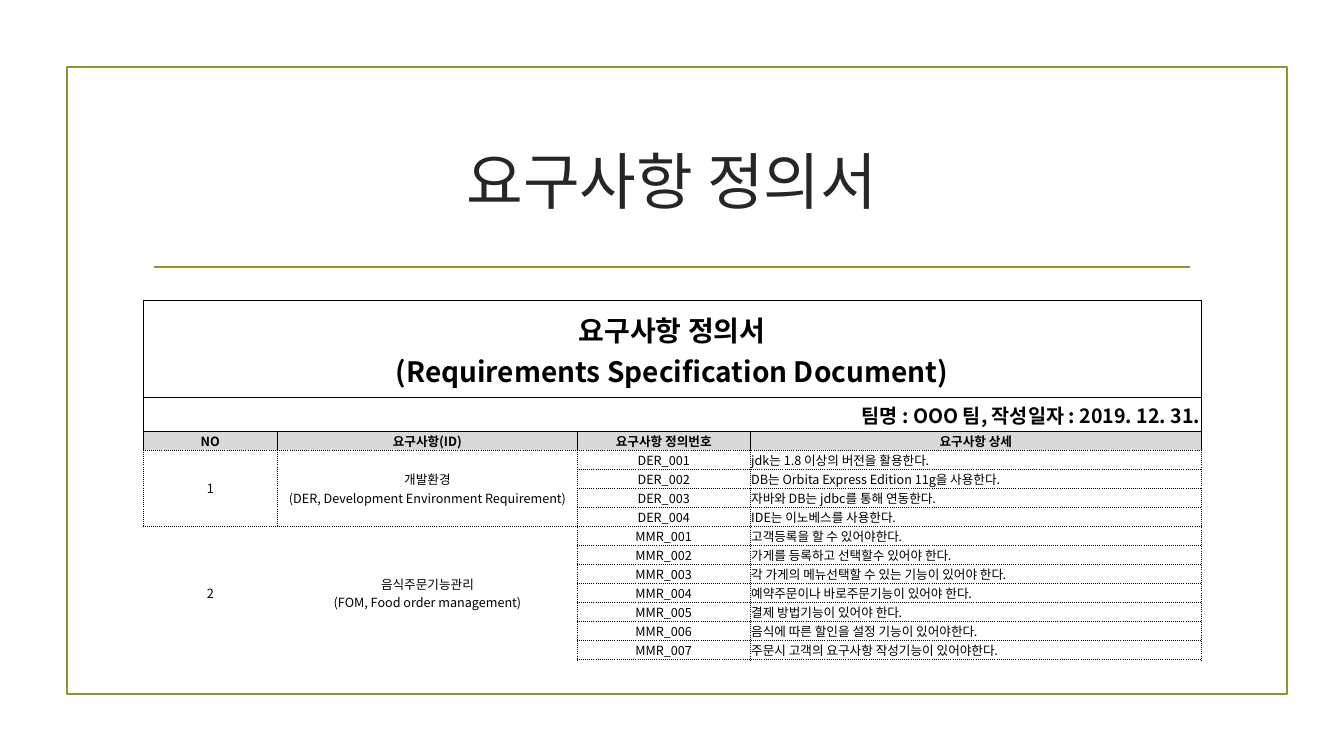
import lxml.etree
import pptx
import pptx.dml.color
import pptx.enum.shapes
import pptx.enum.text
import pptx.oxml.ns
import pptx.util

Cm = pptx.util.Cm
Pt = pptx.util.Pt
ALIGN = pptx.enum.text.PP_ALIGN
MIDDLE = pptx.enum.text.MSO_ANCHOR.MIDDLE
qn = pptx.oxml.ns.qn

COLORS = {"green": "83992A", "title": "262626", "black": "000000", "header": "D9D9D9"}
NO_GRID_STYLE = "{2D5ABB26-0587-4C30-8999-92F81FD0307C}"
TABLE_FONT = "Noto Sans CJK KR"
SOLID, DOTTED = "solid", "sysDot"

COLUMN_WIDTHS = [3.4, 7.54, 4.37, 11.36]
HEADINGS = ["NO", "요구사항(ID)", "요구사항 정의번호", "요구사항 상세"]
GROUPS = [
    ("개발환경\n(DER, Development Environment Requirement)", "DER", "LRTB", "LRTB", [
        "jdk는 1.8 이상의 버전을 활용한다.",
        "DB는 Orbita Express Edition 11g을 사용한다.",
        "자바와 DB는 jdbc를 통해 연동한다.",
        "IDE는 이노베스를 사용한다.",
    ]),
    ("음식주문기능관리\n(FOM, Food order management)", "MMR", "T", "TR", [
        "고객등록을 할 수 있어야한다.",
        "가게를 등록하고 선택할수 있어야 한다.",
        "각 가게의 메뉴선택할 수 있는 기능이 있어야 한다.",
        "예약주문이나 바로주문기능이 있어야 한다.",
        "결제 방법기능이 있어야 한다.",
        "음식에 따른 할인을 설정 기능이 있어야한다.",
        "주문시 고객의 요구사항 작성기능이 있어야한다.",
    ]),
]
ROW_HEIGHTS = [0.47, 2.44, 0.84] + [0.48] * (1 + sum(len(group[-1]) for group in GROUPS))


def rgb(name):
    return pptx.dml.color.RGBColor.from_string(COLORS[name])


class SlideBuilder:
    def __init__(self, slide):
        self.slide = slide

    def outline(self, line):
        line.color.rgb = rgb("green")
        line.width = Pt(1.25)

    def frame(self, left, top, width, height):
        shape = self.slide.shapes.add_shape(
            pptx.enum.shapes.MSO_SHAPE.RECTANGLE, Cm(left), Cm(top), Cm(width), Cm(height))
        shape.shadow.inherit = False
        shape.fill.background()
        self.outline(shape.line)

    def rule(self, left, right, y):
        connector = self.slide.shapes.add_connector(
            pptx.enum.shapes.MSO_CONNECTOR.STRAIGHT, Cm(left), Cm(y), Cm(right), Cm(y))
        self.outline(connector.line)
        lxml.etree.SubElement(connector._element.spPr, qn("a:effectLst"))

    def add_text(self, paragraph, text, size, font, color, align, bold=False):
        paragraph.alignment = align
        for index, piece in enumerate(text.split("\n")):
            if index:
                paragraph.add_line_break()
            run = paragraph.add_run()
            run.text = piece
            run.font.size = Pt(size)
            run.font.name = font
            run.font.bold = bold
            run.font.color.rgb = rgb(color)
            if font == TABLE_FONT:
                east_asian = lxml.etree.SubElement(run.font._element, qn("a:ea"))
                east_asian.set("typeface", font)

    def title(self, left, top, width, height, text):
        box = self.slide.shapes.add_textbox(Cm(left), Cm(top), Cm(width), Cm(height))
        box.text_frame.word_wrap = True
        box.text_frame.vertical_anchor = MIDDLE
        self.add_text(box.text_frame.paragraphs[0], text, 44, "Times New Roman", "title",
                      ALIGN.CENTER)

    def table(self, left, top, widths, heights):
        frame = self.slide.shapes.add_table(
            len(heights), len(widths), Cm(left), Cm(top), Cm(sum(widths)), Cm(sum(heights)))
        table = frame.table
        table.first_row = table.horz_banding = False
        table._tbl.tblPr.find(qn("a:tableStyleId")).text = NO_GRID_STYLE
        for column, width in zip(table.columns, widths):
            column.width = Cm(width)
        for row, height in zip(table.rows, heights):
            row.height = Cm(height)
        # Small text size keeps empty cells from stretching their rows
        for cell in table.iter_cells():
            cell.margin_left = cell.margin_right = cell.margin_top = Cm(0.02)
            cell.margin_bottom = 0
            cell.text_frame.paragraphs[0]._p.get_or_add_endParaRPr().set("sz", "900")
        return table

    def borders(self, cell, sides):
        properties = cell._tc.get_or_add_tcPr()
        for side in "LRTB":
            if side not in sides:
                continue
            line = lxml.etree.SubElement(properties, qn("a:ln" + side), w=str(Pt(0.5)))
            fill = lxml.etree.SubElement(line, qn("a:solidFill"))
            lxml.etree.SubElement(fill, qn("a:srgbClr"), val=COLORS["black"])
            lxml.etree.SubElement(line, qn("a:prstDash"), val=sides[side])

    def cell(self, cell, text, sides, size=9, align=ALIGN.CENTER, bold=False, fill=None):
        cell.vertical_anchor = MIDDLE
        self.borders(cell, sides)
        if fill:
            cell.fill.solid()
            cell.fill.fore_color.rgb = rgb(fill)
        self.add_text(cell.text_frame.paragraphs[0], text, size, TABLE_FONT, "black", align, bold)


def main():
    presentation = pptx.Presentation()
    presentation.slide_width = Cm(33.87)
    presentation.slide_height = Cm(19.05)
    builder = SlideBuilder(presentation.slides.add_slide(presentation.slide_layouts[6]))

    # Frame, rule and title
    builder.frame(1.69, 1.69, 30.74, 15.8)
    builder.rule(3.89, 30, 6.73)
    builder.title(3.6, 2.72, 26.67, 3.63, "요구사항 정의서")

    # Table banner rows
    table = builder.table(3.6, 7.11, COLUMN_WIDTHS, ROW_HEIGHTS)
    last = len(COLUMN_WIDTHS) - 1
    solid = dict.fromkeys("LRTB", SOLID)
    dotted = dict.fromkeys("LRTB", DOTTED)
    for column in range(last + 1):
        builder.borders(table.cell(0, column), {"B": SOLID})
    banners = [
        ("요구사항 정의서\n(Requirements Specification Document)", 20, ALIGN.CENTER),
        ("팀명 : OOO 팀, 작성일자 : 2019. 12. 31.", 14, ALIGN.RIGHT),
    ]
    for row, (text, size, align) in enumerate(banners, 1):
        table.cell(row, 0).merge(table.cell(row, last))
        builder.cell(table.cell(row, 0), text, solid, size, align, bold=True)

    # Column headings
    for column, heading in enumerate(HEADINGS):
        builder.cell(table.cell(3, column), heading, {**solid, "B": DOTTED},
                     bold=True, fill="header")

    # Requirement groups
    row = 4
    for number, (name, prefix, number_sides, name_sides, details) in enumerate(GROUPS, 1):
        labels = [(str(number), number_sides), (name, name_sides)]
        for column, (text, sides) in enumerate(labels):
            table.cell(row, column).merge(table.cell(row + len(details) - 1, column))
            builder.cell(table.cell(row, column), text, dict.fromkeys(sides, DOTTED))
        for index, detail in enumerate(details, 1):
            builder.cell(table.cell(row, 2), f"{prefix}_{index:03d}", dotted)
            builder.cell(table.cell(row, 3), detail, dotted, align=ALIGN.LEFT)
            row += 1

    presentation.save("out.pptx")


if __name__ == "__main__":
    main()
